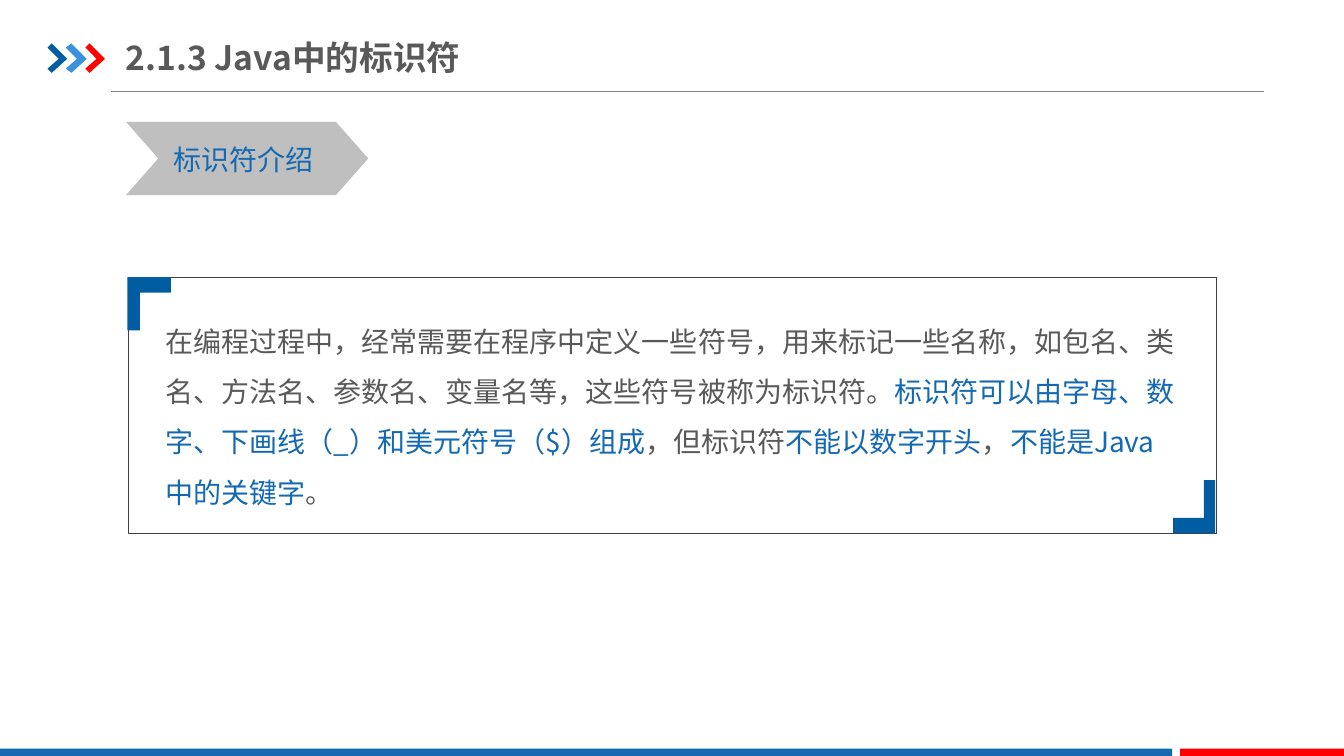
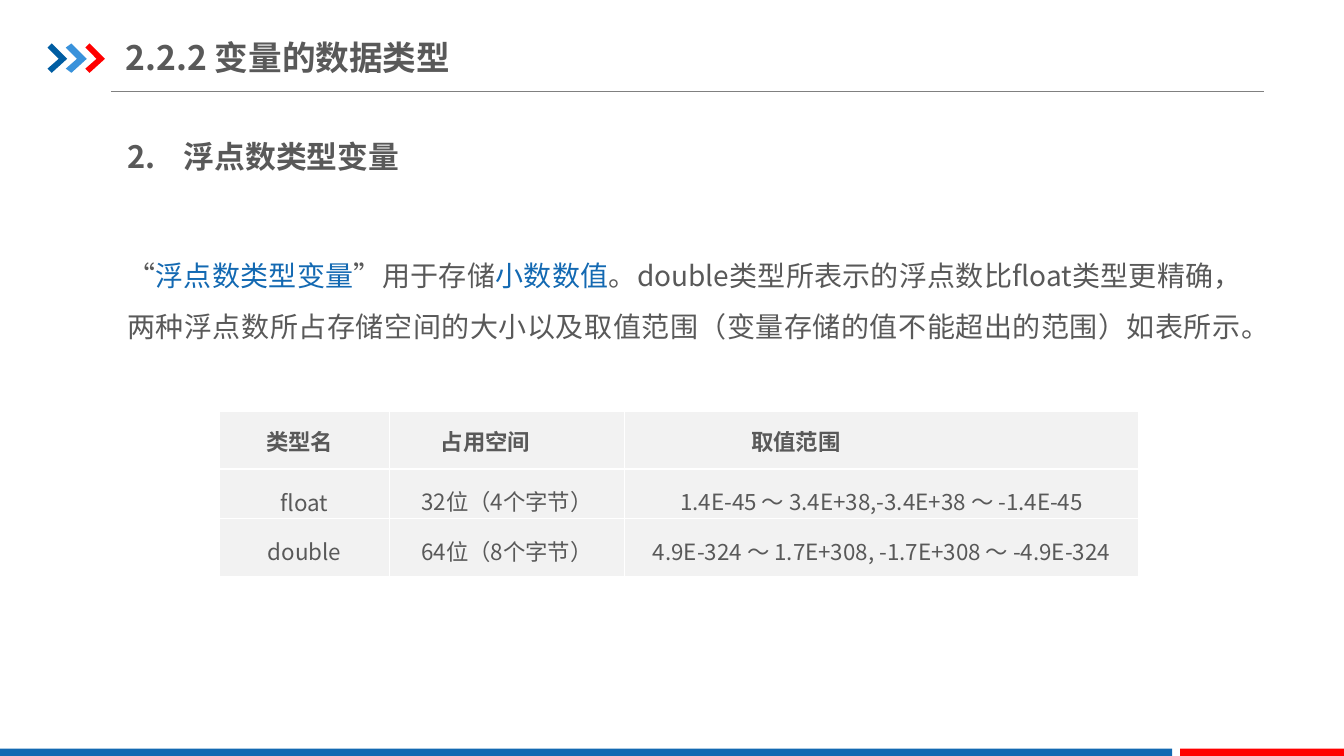
from dataclasses import dataclass

from lxml.etree import SubElement
from pptx import Presentation
from pptx.dml.color import RGBColor
from pptx.enum.lang import MSO_LANGUAGE_ID
from pptx.enum.shapes import MSO_CONNECTOR, MSO_SHAPE
from pptx.enum.text import MSO_ANCHOR, MSO_AUTO_SIZE, PP_ALIGN
from pptx.oxml import parse_xml
from pptx.oxml.ns import nsdecls, qn
from pptx.util import Pt

FONT = "Noto Sans CJK SC"
TEXT = "595959"
BLUE = "1369B2"
DEEP_BLUE = "005DA2"
LIGHT_BLUE = "3992DB"
RED = "FF0000"
RULE = "808080"
TAG = "BFBFBF"
FRAME = "404040"
CELL = "F2F2F2"
WHITE = "FFFFFF"


@dataclass(frozen=True)
class Box:
    left: float
    top: float
    width: float
    height: float

    @property
    def lengths(self):
        return Pt(self.left), Pt(self.top), Pt(self.width), Pt(self.height)


@dataclass(frozen=True)
class Column:
    heading: str
    width: float
    indent: float
    values: tuple[str, ...]


CHEVRON = ((33.9, 34), (37.2, 31), (48.1, 41.8), (37.2, 52.5), (33.9, 49), (41.8, 41.8))
CHEVRON_STEP = 13.4
CORNER = ((0, 0), (30.5, 0), (30.5, 11), (8.8, 11), (8.8, 38.4), (0, 38.4))
BANDS = ((Box(0, 534.8, 837.3, 6.5), BLUE), (Box(842.9, 534.8, 117.1, 6.5), RED))
COLUMNS = (
    Column("类型名", 121, 28, ("float", "double")),
    Column("占用空间", 168.2, 32, ("32位（4个字节）", "64位（8个字节）")),
    Column("取值范围", 367, 85.5, (
        "1.4E-45 ～ 3.4E+38,-3.4E+38 ～ -1.4E-45",
        "4.9E-324 ～ 1.7E+308, -1.7E+308 ～ -4.9E-324",
    )),
)
ROW_HEIGHTS = (41, 35.2, 41.8)


def color(value: str) -> RGBColor:
    return RGBColor.from_string(value)


def write_text(frame, text: str, *, size: float, fill: str = TEXT, highlight: str = BLUE,
               bold: bool = False, align=PP_ALIGN.LEFT, spacing: float = 1.0,
               indent: float = 0, tab: float = 0) -> None:
    """Write one paragraph; parts between bars take the highlight colour."""
    paragraph = frame.paragraphs[0]
    paragraph.alignment = align
    paragraph.line_spacing = spacing
    properties = paragraph._p.get_or_add_pPr()
    if indent:
        properties.set("marL", str(Pt(indent)))
        properties.set("indent", "0")
    if tab:
        tabs = SubElement(properties, qn("a:tabLst"))
        SubElement(tabs, qn("a:tab"), pos=str(Pt(tab)), algn="l")
    for index, part in enumerate(text.split("|")):
        run = paragraph.add_run()
        run.text = part
        font = run.font
        font.name, font.size, font.bold = FONT, Pt(size), bold
        font.language_id = MSO_LANGUAGE_ID.SIMPLIFIED_CHINESE
        font.color.rgb = color(highlight if index % 2 else fill)
        SubElement(run._r.get_or_add_rPr(), qn("a:ea"), typeface=FONT)


def set_margins(frame, horizontal: float, vertical: float) -> None:
    frame.margin_left = frame.margin_right = Pt(horizontal)
    frame.margin_top = frame.margin_bottom = Pt(vertical)


def add_text(slide, box: Box, text: str, *, margins: tuple[float, float] = (7.2, 3.6),
             wrap: bool = True, **text_format) -> None:
    frame = slide.shapes.add_textbox(*box.lengths).text_frame
    frame.word_wrap = wrap
    set_margins(frame, *margins)
    write_text(frame, text, **text_format)


def paint(shape, fill: str | None, line: str | None = None, line_width: float = 0) -> None:
    shape.shadow.inherit = False
    if fill:
        shape.fill.solid()
        shape.fill.fore_color.rgb = color(fill)
    else:
        shape.fill.background()
    if line:
        shape.line.color.rgb = color(line)
        shape.line.width = Pt(line_width)
    else:
        shape.line.fill.background()


def add_outline(slide, points: list[tuple[float, float]], fill: str) -> None:
    builder = slide.shapes.build_freeform(*points[0], scale=float(Pt(1)))
    builder.add_line_segments(points[1:], close=True)
    paint(builder.convert_to_shape(), fill)


def add_titled_slide(presentation, title: str):
    slide = presentation.slides.add_slide(presentation.slide_layouts[5])
    rule = slide.shapes.add_connector(
        MSO_CONNECTOR.STRAIGHT, Pt(79.2), Pt(65.5), Pt(903), Pt(65.5))
    rule.line.color.rgb = color(RULE)
    rule.line.width = Pt(0.75)
    SubElement(rule._element.spPr, qn("a:effectLst"))
    for index, fill in enumerate((DEEP_BLUE, LIGHT_BLUE, RED)):
        add_outline(slide, [(x + index * CHEVRON_STEP, y) for x, y in CHEVRON], fill)
    for box, fill in BANDS:
        paint(slide.shapes.add_shape(MSO_SHAPE.RECTANGLE, *box.lengths), fill)
    heading = slide.shapes.title
    heading.left, heading.top, heading.width, heading.height = Box(90, 21, 307, 39.6).lengths
    frame = heading.text_frame
    frame.auto_size = MSO_AUTO_SIZE.NONE
    frame.word_wrap = True
    frame.vertical_anchor = MSO_ANCHOR.MIDDLE
    set_margins(frame, 0, 5)
    write_text(frame, title, size=24, bold=True)
    return slide


def add_framed_text(slide, box: Box, text_box: Box, text: str) -> None:
    add_text(slide, text_box, text, size=20, spacing=1.5)
    frame = slide.shapes.add_shape(MSO_SHAPE.RECTANGLE, *box.lengths)
    paint(frame, None, FRAME, 0.25)
    corners = ((box.left, box.top, 1), (box.left + box.width, box.top + box.height, -1))
    for left, top, sign in corners:
        add_outline(slide, [(left + sign * x, top + sign * y) for x, y in CORNER], DEEP_BLUE)


def format_cell(cell) -> None:
    cell.fill.solid()
    cell.fill.fore_color.rgb = color(CELL)
    cell.margin_left = cell.margin_right = Pt(5)
    cell.margin_top = cell.margin_bottom = Pt(0)
    properties = cell._tc.get_or_add_tcPr()
    for index, side in enumerate(("lnL", "lnR", "lnT", "lnB")):
        properties.insert(index, parse_xml(
            f'<a:{side} {nsdecls("a")} w="{Pt(1)}"><a:solidFill>'
            f'<a:srgbClr val="{WHITE}"/></a:solidFill></a:{side}>'))


def add_type_table(slide, left: float, top: float) -> None:
    box = Box(left, top, sum(column.width for column in COLUMNS), sum(ROW_HEIGHTS))
    table = slide.shapes.add_table(len(ROW_HEIGHTS), len(COLUMNS), *box.lengths).table
    table.first_row = table.horz_banding = False
    for row, height in zip(table.rows, ROW_HEIGHTS):
        row.height = Pt(height)
    for column_index, column in enumerate(COLUMNS):
        table.columns[column_index].width = Pt(column.width)
        for row_index, text in enumerate((column.heading, *column.values)):
            cell = table.cell(row_index, column_index)
            format_cell(cell)
            if row_index == 0:
                write_text(cell.text_frame, text, size=16, bold=True, indent=column.indent)
            else:
                write_text(cell.text_frame, text, size=16, align=PP_ALIGN.CENTER, spacing=1.5)
            middle = row_index == 0 or (row_index, column_index) == (1, 0)
            cell.vertical_anchor = MSO_ANCHOR.MIDDLE if middle else MSO_ANCHOR.TOP


def build_identifier_slide(presentation) -> None:
    slide = add_titled_slide(presentation, "2.1.3 Java中的标识符")
    tag = slide.shapes.add_shape(MSO_SHAPE.CHEVRON, *Box(90, 87, 173, 52.4).lengths)
    tag.adjustments[0] = 0.44
    paint(tag, TAG)
    add_text(slide, Box(117, 97.9, 114.4, 31.5), "标识符介绍", size=20, fill=BLUE, wrap=False)
    add_framed_text(
        slide, Box(91.4, 198, 777, 183), Box(110.9, 216, 738, 152.6),
        "在编程过程中，经常需要在程序中定义一些符号，用来标记一些名称，如包名、类名、方法名、"
        "参数名、变量名等，这些符号被称为标识符。|标识符可以由字母、数字、下画线（_）和美元符号（$）"
        "组成|，但标识符|不能以数字开头|，|不能是Java中的关键字|。")


def build_float_slide(presentation) -> None:
    slide = add_titled_slide(presentation, "2.2.2 变量的数据类型")
    add_text(slide, Box(81.4, 80, 260.6, 44.6), "2.\t浮点数类型变量", margins=(9.4, 5),
             size=22, bold=True, spacing=1.5, tab=40.5)
    add_text(
        slide, Box(81.4, 167.8, 815, 82),
        "“|浮点数类型变量|”用于存储|小数数值|。double类型所表示的浮点数比float类型更精确，"
        "两种浮点数所占存储空间的大小以及取值范围（变量存储的值不能超出的范围）如表所示。",
        margins=(9.4, 5), size=20, align=PP_ALIGN.JUSTIFY, spacing=1.5)
    add_type_table(slide, 157, 294)


def main() -> None:
    presentation = Presentation()
    presentation.slide_width, presentation.slide_height = Pt(960), Pt(540)
    build_identifier_slide(presentation)
    build_float_slide(presentation)
    presentation.save("out.pptx")


if __name__ == "__main__":
    main()
